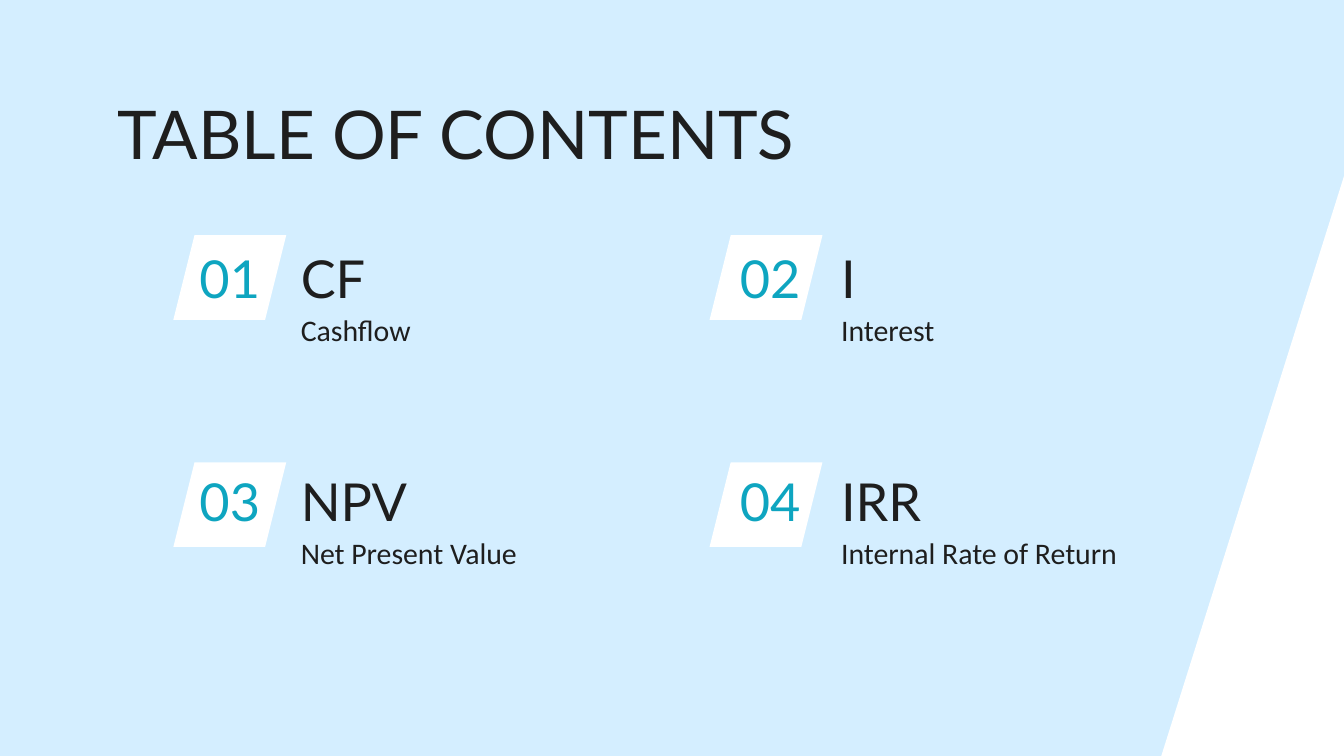
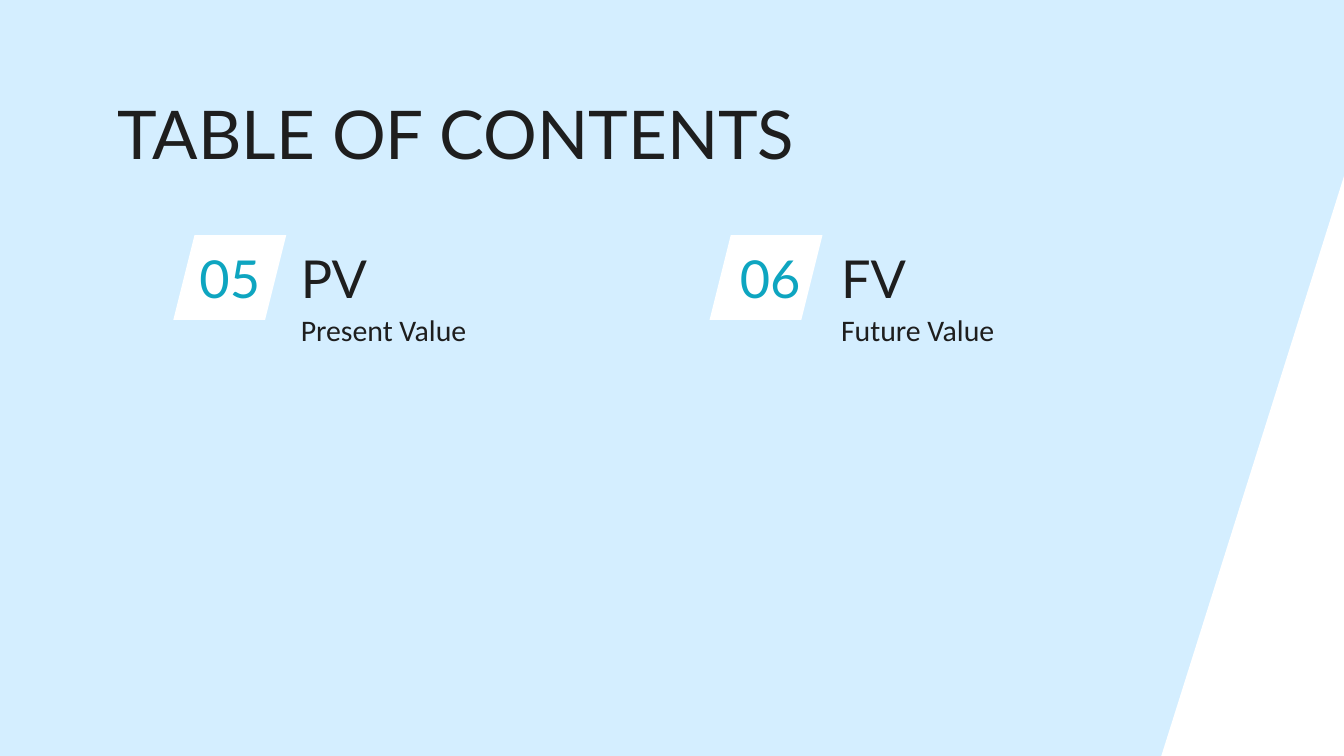
from pptx import Presentation
from pptx.dml.color import RGBColor
from pptx.enum.shapes import MSO_SHAPE
from pptx.enum.text import MSO_ANCHOR, PP_ALIGN
from pptx.util import Inches, Pt

PARALLELOGRAM = MSO_SHAPE.PARALLELOGRAM
TOP, MIDDLE = MSO_ANCHOR.TOP, MSO_ANCHOR.MIDDLE
LEFT, CENTER = PP_ALIGN.LEFT, PP_ALIGN.CENTER

# Shared look
SKY, WHITE, INK, TEAL = "D4EEFF", "FFFFFF", "1E1E1E", "0EA5C0"
HEADING_FONT, BODY_FONT = "Lato", "Calibri"
TITLE_BOX = (0.78, 0.59, 8.44, 0.79)
BAND_CORNERS = [(13.53, -0.01), (13.52, 5.68), (8.63, 5.66), (10.42, -0.02)]

# Grid of entries: the tiles and the texts each have their own pitch
COLUMNS = 2
TILE_ORIGIN, TILE_PITCH = (1.29, 1.75), (3.99, 1.69)
TEXT_ORIGIN, TEXT_PITCH = (1.36, 1.75), (4.02, 1.66)
ROW_HEIGHT = 0.63

CONTENTS = [
    [("CF", "Cashflow"), ("I", "Interest"),
     ("NPV", "Net Present Value"), ("IRR", "Internal Rate of Return")],
    [("PV", "Present Value"), ("FV", "Future Value")],
]


def color(hex_code):
    return RGBColor.from_string(hex_code)


def paint(shape, hex_code):
    shape.fill.solid()
    shape.fill.fore_color.rgb = color(hex_code)
    shape.line.fill.background()
    shape.shadow.inherit = False


def add_text(page, box, text, size, font=HEADING_FONT, ink=INK,
             anchor=MIDDLE, align=LEFT):
    frame = page.shapes.add_textbox(*map(Inches, box)).text_frame
    frame.word_wrap = True
    frame.vertical_anchor = anchor
    frame.margin_left = frame.margin_right = Inches(0.1)
    frame.margin_top = frame.margin_bottom = Inches(0.1)
    para = frame.paragraphs[0]
    para.text = text
    para.alignment = align
    para.font.name = font
    para.font.size = Pt(size)
    para.font.color.rgb = color(ink)


def add_backdrop(page):
    """Sky background with the slanted white band on the right."""
    page.background.fill.solid()
    page.background.fill.fore_color.rgb = color(SKY)
    corners = [(Inches(x), Inches(y)) for x, y in BAND_CORNERS]
    outline = page.shapes.build_freeform(*corners[0])
    outline.add_line_segments(corners[1:], close=True)
    paint(outline.convert_to_shape(), WHITE)


def grid_point(origin, pitch, index):
    row, column = divmod(index, COLUMNS)
    return origin[0] + column * pitch[0], origin[1] + row * pitch[1]


def add_tile(page, left, top):
    box = (left, top, 0.84, ROW_HEIGHT)
    tile = page.shapes.add_shape(PARALLELOGRAM, *map(Inches, box))
    tile.adjustments[0] = 0.25
    paint(tile, WHITE)


def add_entry(page, left, top, number, term, meaning):
    """Number, abbreviation and its meaning, from the entry's top left."""
    add_text(page, (left, top, 0.7, ROW_HEIGHT), f"{number:02d}", 28,
             ink=TEAL, align=CENTER)
    text_left = left + 0.78
    add_text(page, (text_left, top + 0.47, 2.56, 0.65), meaning, 16,
             font=BODY_FONT, anchor=TOP)
    add_text(page, (text_left, top, 2.56, ROW_HEIGHT), term, 28)


def add_contents_page(deck, entries, first_number):
    page = deck.slides.add_slide(deck.slide_layouts[6])
    add_backdrop(page)
    for index in range(len(entries)):
        add_tile(page, *grid_point(TILE_ORIGIN, TILE_PITCH, index))
    add_text(page, TITLE_BOX, "TABLE OF CONTENTS", 36, anchor=TOP)
    for index, (term, meaning) in enumerate(entries):
        left, top = grid_point(TEXT_ORIGIN, TEXT_PITCH, index)
        add_entry(page, left, top, first_number + index, term, meaning)


deck = Presentation()
# Widescreen, 16:9
deck.slide_width = Inches(10)
deck.slide_height = Inches(10) * 9 // 16
next_number = 1
for entries in CONTENTS:
    add_contents_page(deck, entries, next_number)
    next_number += len(entries)
deck.save("out.pptx")
